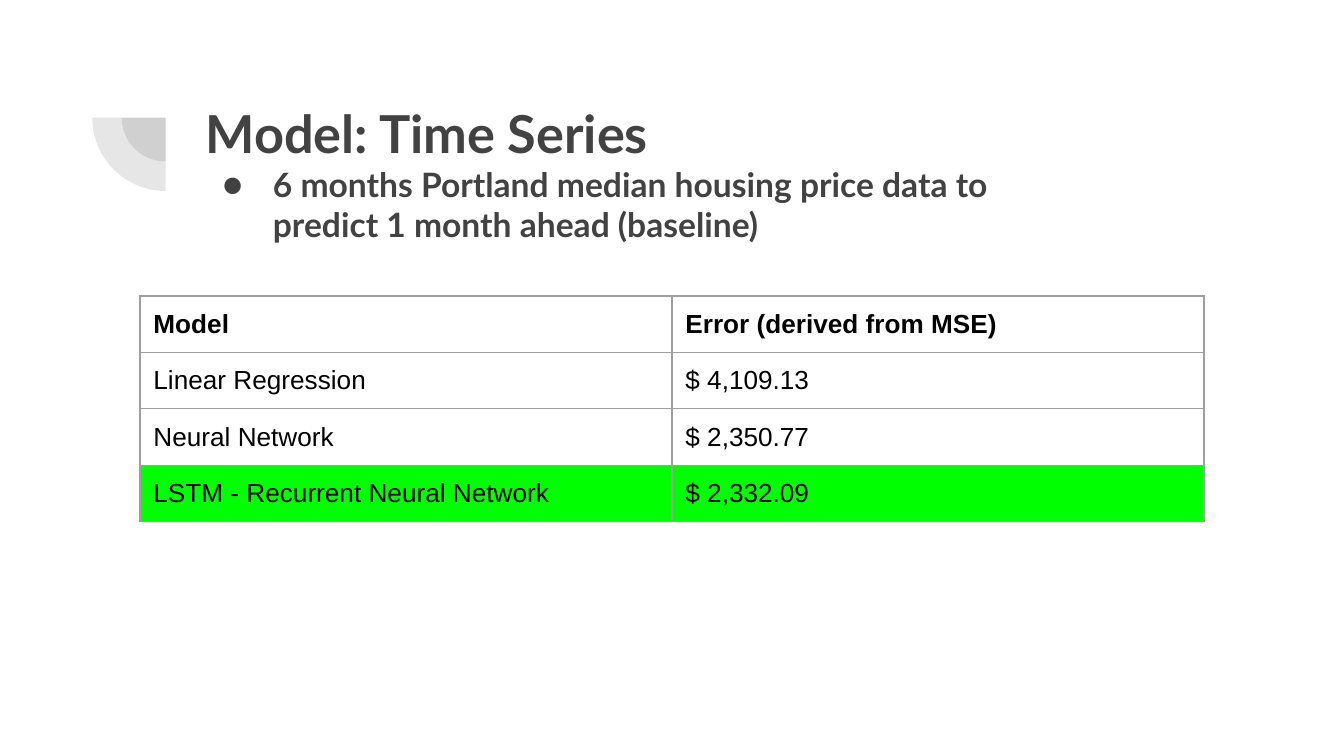
from lxml.etree import SubElement
from pptx import Presentation
from pptx.dml.color import RGBColor
from pptx.enum.shapes import MSO_SHAPE as Shape
from pptx.enum.text import MSO_ANCHOR as Anchor, MSO_AUTO_SIZE as AutoSize, PP_ALIGN as Align
from pptx.oxml.ns import qn
from pptx.util import Pt

COLORS = {
    "ink": "424242",
    "cell": "000000",
    "border": "9E9E9E",
    "best": "00FF00",
}
INSET = Pt(7.2)
ROWS = [
    ("Model", "Error (derived from MSE)"),
    ("Linear Regression", "$ 4,109.13"),
    ("Neural Network", "$ 2,350.77"),
    ("LSTM - Recurrent Neural Network", "$ 2,332.09"),
]


def rgb(name):
    return RGBColor.from_string(COLORS[name])


def style(para, face, size, color, bold):
    font = para.font
    font.name = face
    font.size = Pt(size)
    font.bold = bold
    font.color.rgb = rgb(color)


def set_insets(target):
    target.margin_left = target.margin_right = INSET
    target.margin_top = target.margin_bottom = INSET


def add_quarter(page, center_x, center_y, size):
    quarter = page.shapes.add_shape(
        Shape.PIE, Pt(center_x - size / 2), Pt(center_y - size / 2), Pt(size), Pt(size)
    )
    quarter.adjustments[0] = 108
    quarter.adjustments[1] = 162
    quarter.rotation = 270
    quarter.shadow.inherit = False
    quarter.line.fill.background()
    quarter.fill.solid()
    quarter.fill.fore_color.rgb = rgb("ink")
    color = quarter.fill._xPr.find(".//" + qn("a:srgbClr"))
    SubElement(color, qn("a:alpha"), val="13000")


def set_indent(para, left, first):
    props = para._p.get_or_add_pPr()
    props.set("marL", str(Pt(left)))
    props.set("indent", str(Pt(first)))
    return props


def add_bullet(para, left, first):
    props = set_indent(para, left, first)
    color = SubElement(props, qn("a:buClr"))
    SubElement(color, qn("a:srgbClr"), val=COLORS["ink"])
    SubElement(props, qn("a:buFont"), typeface="Lato")
    SubElement(props, qn("a:buChar"), char="●")


def fill_title(page):
    title = page.shapes.title
    title.left, title.top = Pt(103), Pt(46.8)
    title.width, title.height = Pt(553.7), Pt(90)
    frame = title.text_frame
    frame.word_wrap = True
    frame.auto_size = AutoSize.NONE
    frame.vertical_anchor = Anchor.TOP
    set_insets(frame)

    heading = frame.paragraphs[0]
    heading.text = "Model: Time Series"
    first_line = frame.add_paragraph()
    first_line.text = "6 months Portland median housing price data to"
    add_bullet(first_line, 36, -27)
    second_line = frame.add_paragraph()
    second_line.text = "predict 1 month ahead (baseline)"
    set_indent(second_line, 0, 36)

    for para, size in zip(frame.paragraphs, (28, 18, 18)):
        para.alignment = Align.LEFT
        style(para, "Lato", size, "ink", True)


def add_borders(cell):
    props = cell._tc.get_or_add_tcPr()
    for side in ("lnL", "lnR", "lnT", "lnB"):
        line = SubElement(props, qn(f"a:{side}"), w=str(Pt(0.75)))
        fill = SubElement(line, qn("a:solidFill"))
        SubElement(fill, qn("a:srgbClr"), val=COLORS["border"])


def fill_cell(cell, text, bold, best):
    set_insets(cell)
    add_borders(cell)
    if best:
        cell.fill.solid()
        cell.fill.fore_color.rgb = rgb("best")
    else:
        cell.fill.background()
    para = cell.text_frame.paragraphs[0]
    para.text = text
    style(para, "Arial", 14, "cell", bold)


def add_error_table(page):
    row_height = 30.24
    table = page.shapes.add_table(
        len(ROWS), 2, Pt(75), Pt(158.6), Pt(570), Pt(row_height * len(ROWS))
    ).table
    table.first_row = False
    table.horz_banding = False
    for row, texts in enumerate(ROWS):
        for column, text in enumerate(texts):
            fill_cell(table.cell(row, column), text, row == 0, row == len(ROWS) - 1)


def main():
    deck = Presentation()
    deck.slide_width, deck.slide_height = Pt(720), Pt(405)
    page = deck.slides.add_slide(deck.slide_layouts[5])
    for size in (47, 78.6):
        add_quarter(page, 88.7, 63, size)
    fill_title(page)
    add_error_table(page)
    deck.save("out.pptx")


if __name__ == "__main__":
    main()
